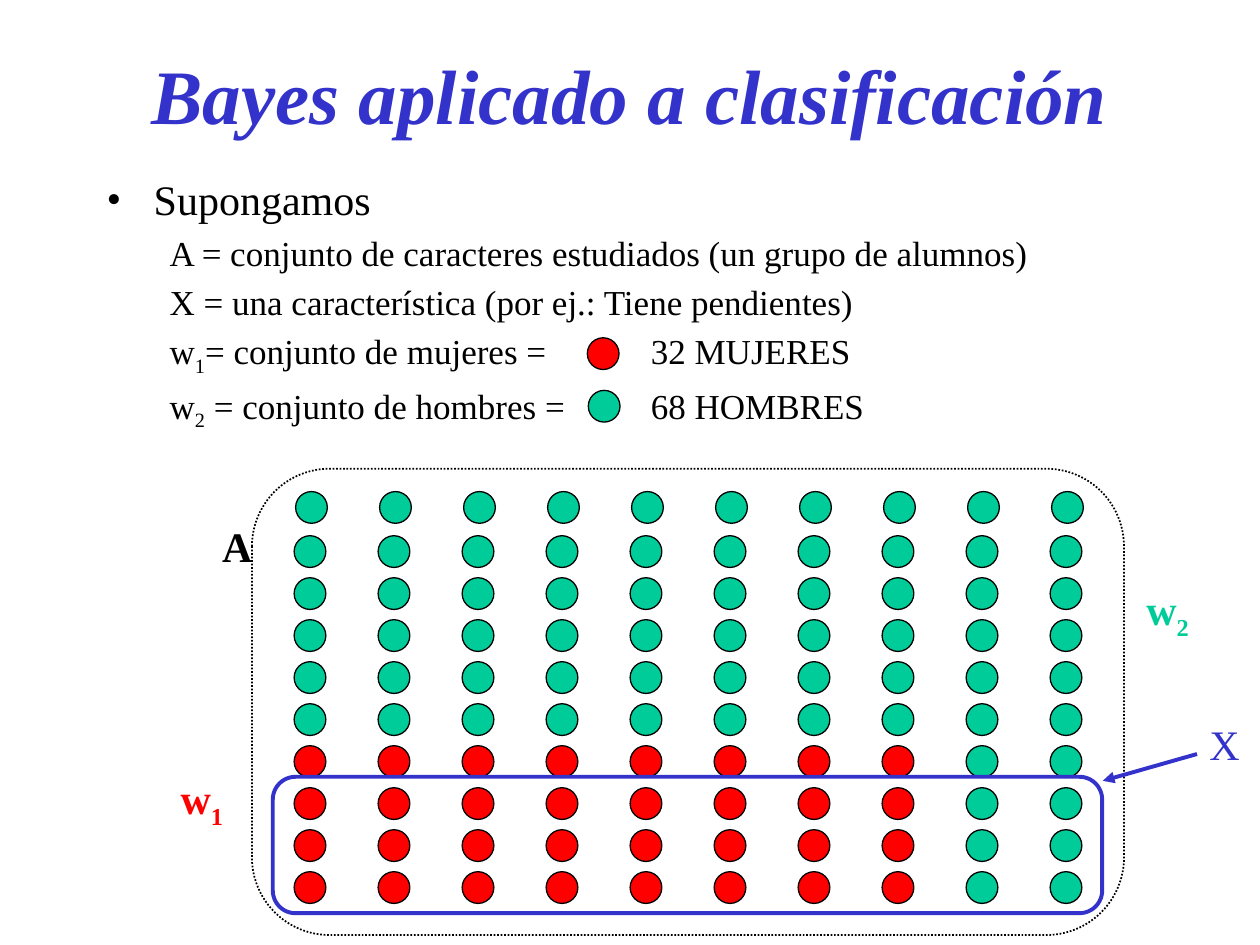
from lxml import etree
from pptx import Presentation
from pptx.dml.color import RGBColor
from pptx.enum import dml, shapes, text
from pptx.oxml import ns
from pptx.util import Cm, Pt

BLUE = RGBColor(0x33, 0x33, 0xCC)
GREEN = RGBColor(0x00, 0xCC, 0x99)
RED = RGBColor(0xFF, 0x00, 0x00)
BLACK = RGBColor(0x00, 0x00, 0x00)
FONT = "Times New Roman"


def add_outlined(kind, left, top, width, height, line_color, line_width, fill=None):
    shape = slide.shapes.add_shape(kind, Cm(left), Cm(top), Cm(width), Cm(height))
    shape.shadow.inherit = False
    if fill is None:
        shape.fill.background()
    else:
        shape.fill.solid()
        shape.fill.fore_color.rgb = fill
    shape.line.color.rgb = line_color
    shape.line.width = Pt(line_width)
    return shape


def write(paragraph, parts, size, color, bold=False):
    """Write the parts as runs; every second one is a subscript."""
    for index, part in enumerate(parts):
        run = paragraph.add_run()
        run.text = part
        if index % 2:
            run._r.get_or_add_rPr().set("baseline", "-25000")
    paragraph.font.name = FONT
    paragraph.font.size = Pt(size)
    paragraph.font.bold = bold
    paragraph.font.color.rgb = color


presentation = Presentation()
presentation.slide_width, presentation.slide_height = Cm(25.4), Cm(19.05)
slide = presentation.slides.add_slide(presentation.slide_layouts[5])

# Title
title = slide.shapes.title
title.left, title.top, title.width, title.height = Cm(1.9), Cm(0.3), Cm(21.6), Cm(3.18)
title.text_frame.auto_size = text.MSO_AUTO_SIZE.NONE
title.text_frame.vertical_anchor = text.MSO_ANCHOR.MIDDLE
paragraph = title.text_frame.paragraphs[0]
paragraph.alignment = text.PP_ALIGN.CENTER
write(paragraph, ["Bayes aplicado a clasificación"], 44, BLUE, bold=True)
paragraph.font.italic = True

# Opening bullet
opening = slide.shapes.add_textbox(Cm(1.9), Cm(3.38), Cm(23.5), Cm(1.2))
opening.text_frame.word_wrap = True
paragraph = opening.text_frame.paragraphs[0]
properties = paragraph._p.get_or_add_pPr()
properties.set("marL", str(Cm(0.95)))
properties.set("indent", str(Cm(-0.95)))
etree.SubElement(properties, ns.qn("a:buFont"), typeface=FONT)
etree.SubElement(properties, ns.qn("a:buChar"), char="•")
write(paragraph, ["Supongamos"], 24, BLACK)

# Definitions, with a tab stop that leaves room for the legend dots
definitions = [
    ["A = conjunto de caracteres estudiados (un grupo de alumnos)"],
    ["X = una característica (por ej.: Tiene pendientes)"],
    ["w", "1", "= conjunto de mujeres =\t32 MUJERES"],
    ["w", "2", " = conjunto de hombres =\t68 HOMBRES"],
]
body = slide.shapes.add_textbox(Cm(3.17), Cm(4.54), Cm(22.23), Cm(4.5))
frame = body.text_frame
frame.word_wrap = True
for index, parts in enumerate(definitions):
    if index == 0:
        paragraph = frame.paragraphs[0]
    else:
        paragraph = frame.add_paragraph()
        paragraph.space_before = Pt(4)
    tabs = etree.SubElement(paragraph._p.get_or_add_pPr(), ns.qn("a:tabLst"))
    etree.SubElement(tabs, ns.qn("a:tab"), pos=str(Cm(9.7)), algn="l")
    write(paragraph, parts, 20, BLACK)

# Students: ten columns, a top row of men and nine rows below
OVAL = shapes.MSO_SHAPE.OVAL
DOT = 0.64
COLUMN_STEP = 15.24 / 9
ROW_STEP = COLUMN_STEP / 2
for column in range(10):
    left = 5.93 + column * COLUMN_STEP
    add_outlined(OVAL, left + 0.03, 9.91, DOT, DOT, BLACK, 0.75, GREEN)
    for row in range(9):
        color = RED if row >= 5 and column < 8 else GREEN
        add_outlined(OVAL, left, 10.8 + row * ROW_STEP, DOT, DOT, BLACK, 0.75, color)

# Legend dots
add_outlined(OVAL, 11.84, 6.81, DOT, DOT, BLACK, 0.75, RED)
add_outlined(OVAL, 11.86, 7.87, DOT, DOT, BLACK, 0.75, GREEN)

# Set A and feature X
ROUNDED = shapes.MSO_SHAPE.ROUNDED_RECTANGLE
set_outline = add_outlined(ROUNDED, 5.08, 9.45, 17.58, 9.4, BLACK, 1)
set_outline.line.dash_style = dml.MSO_LINE.ROUND_DOT
add_outlined(ROUNDED, 5.5, 15.66, 16.72, 2.75, BLUE, 2.25)

# Arrow from X to its outline
arrow = slide.shapes.add_connector(
    shapes.MSO_CONNECTOR.STRAIGHT, Cm(24.13), Cm(15.2), Cm(22.23), Cm(15.74))
arrow.line.color.rgb = BLUE
arrow.line.width = Pt(2.25)
etree.SubElement(arrow.line._get_or_add_ln(), ns.qn("a:tailEnd"), type="triangle")
etree.SubElement(arrow._element.spPr, ns.qn("a:effectLst"))

# Labels around the diagram
labels = [
    (["w", "1"], 3.39, 15.45, 1.4, RED, True),
    (["A"], 4.23, 10.37, 1.12, BLACK, True),
    (["w", "2"], 22.86, 11.64, 1.4, GREEN, True),
    (["X"], 24.13, 14.36, 1.13, BLUE, False),
]
for parts, left, top, width, color, bold in labels:
    label = slide.shapes.add_textbox(Cm(left), Cm(top), Cm(width), Cm(1.27))
    label.text_frame.word_wrap = False
    label.text_frame.auto_size = text.MSO_AUTO_SIZE.SHAPE_TO_FIT_TEXT
    write(label.text_frame.paragraphs[0], parts, 24, color, bold)

presentation.save("out.pptx")
